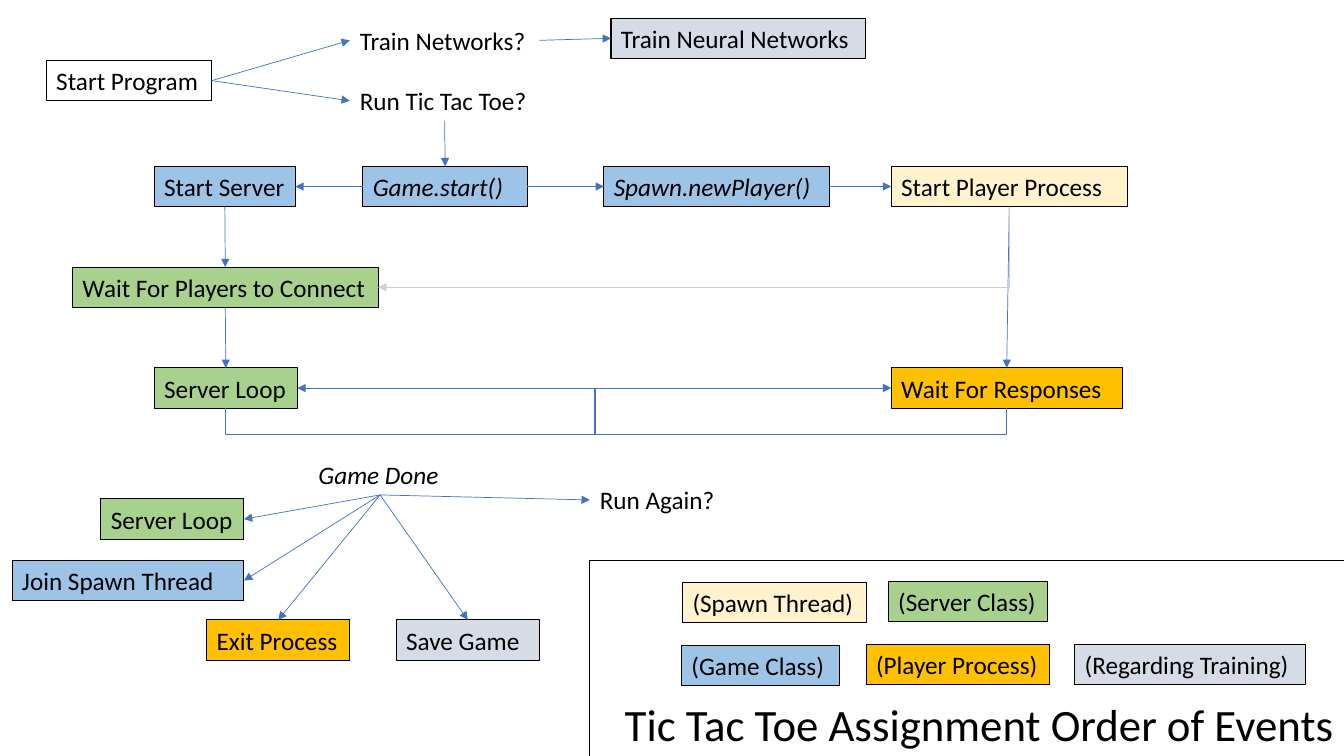
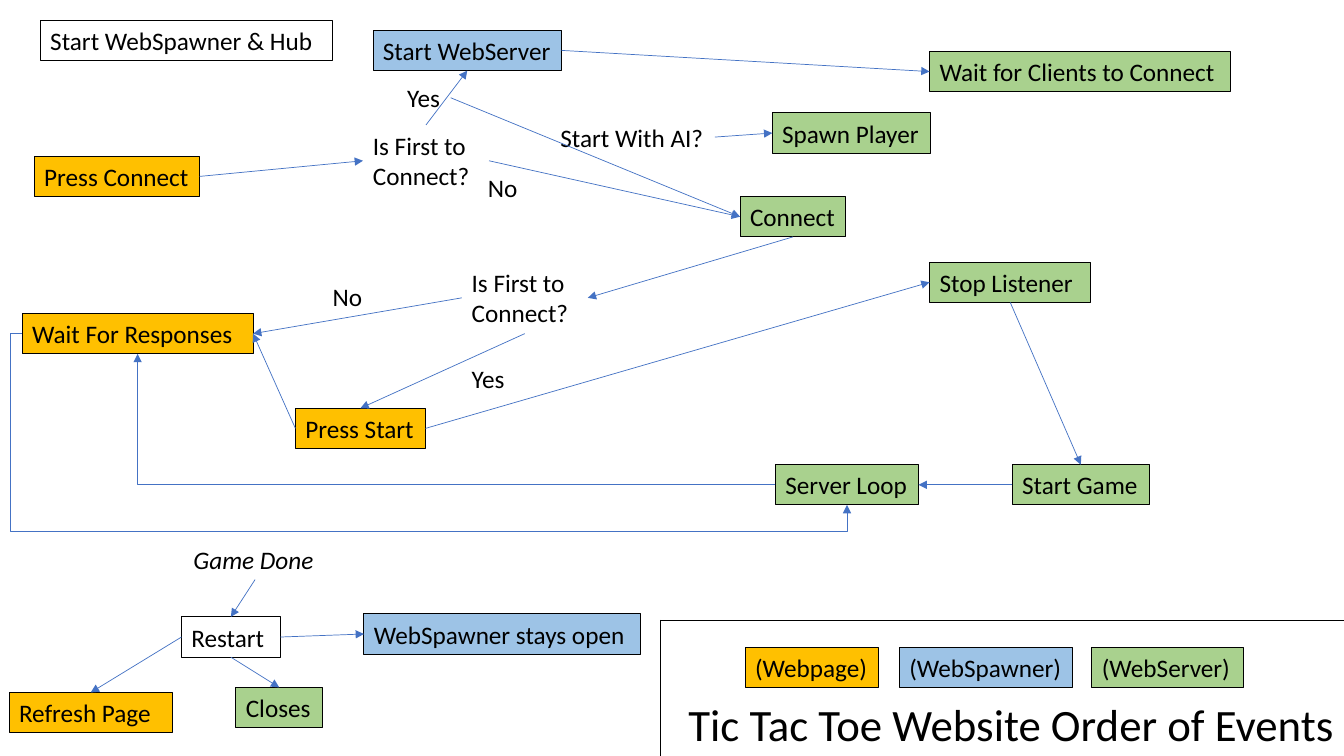
from lxml.etree import SubElement
from pptx import Presentation
from pptx.dml.color import RGBColor
from pptx.enum.shapes import MSO_CONNECTOR, MSO_SHAPE
from pptx.enum.text import MSO_ANCHOR, MSO_AUTO_SIZE, PP_ALIGN
from pptx.oxml.ns import qn
from pptx.util import Inches, Pt

WIDE, HIGH = 13.33, 7.5
ROW, TALL = 0.4, 0.71
FONT, INK, BLUE, GREY = "Calibri", "000000", "4472C4", "D0CECE"
TONES = {"plain": None, "game": "9DC3E6", "server": "A9D18E",
         "player": "FFC000", "spawn": "FFF2CC", "train": "D6DCE5"}
ITALIC = {"Game.start()", "Spawn.newPlayer()", "Game Done"}
SNUG = {"Wait For Players to Connect", "Server Loop", "(Server Class)",
        "Game Done", "Run Again?", "Connect", "Yes", "No", "Start Game",
        "Start With AI?", "Spawn Player"}
SITES = {"top": 0, "left": 1, "bottom": 2, "right": 3}

pages = [
    {
        "title": ("Tic Tac Toe Assignment Order of Events", 4.92),
        "frame": (5.85, 5.56),
        "boxes": [
            ("begin", "Start Program", 0.46, 0.6, 1.64, "plain"),
            ("run", "Run Tic Tac Toe?", 3.47, 0.8, 1.88, "text"),
            ("ask", "Train Networks?", 3.47, 0.2, 1.88, "text"),
            ("train", "Train Neural Networks", 6.06, 0.18, 2.52, "train"),
            ("game", "Game.start()", 3.6, 1.65, 1.63, "game"),
            ("spawn", "Spawn.newPlayer()", 5.99, 1.65, 2.24, "game"),
            ("process", "Start Player Process", 8.84, 1.65, 2.34, "spawn"),
            ("server", "Start Server", 1.53, 1.65, 1.4, "game"),
            ("wait", "Wait For Players to Connect", 0.72, 2.65, 3.03, "server"),
            ("loop", "Server Loop", 1.53, 3.65, 1.42, "server"),
            ("reply", "Wait For Responses", 8.84, 3.65, 2.29, "player"),
            ("done", "Game Done", 3.06, 4.51, 1.42, "text"),
            ("join", "Join Spawn Thread", 0.12, 5.56, 2.3, "game"),
            ("end", "Server Loop", 1, 4.95, 1.42, "server"),
            ("exit", "Exit Process", 2.05, 6.15, 1.42, "player"),
            ("save", "Save Game", 3.93, 6.15, 1.42, "train"),
            ("again", "Run Again?", 5.85, 4.76, 1.35, "text"),
            ("key game", "(Game Class)", 6.76, 6.4, 1.57, "game"),
            ("key spawn", "(Spawn Thread)", 6.77, 5.78, 1.82, "spawn"),
            ("key player", "(Player Process)", 8.59, 6.39, 1.82, "player"),
            ("key server", "(Server Class)", 8.81, 5.77, 1.58, "server"),
            ("key train", "(Regarding Training)", 10.66, 6.39, 2.29, "train"),
        ],
        "links": [
            ("begin", "right", "run", "left"),
            ("begin", "right", "ask", "left"),
            ("ask", "right", "train", "left"),
            ("run", "bottom", "game", "top"),
            ("game", "right", "spawn", "left"),
            ("game", "left", "server", "right"),
            ("spawn", "right", "process", "left"),
            ("server", "bottom", "wait", "top"),
            ("wait", "bottom", "loop", "top"),
            ("process", "bottom", "reply", "top"),
            ("done", "bottom", "end", "right"),
            ("done", "bottom", "join", "right"),
            ("done", "bottom", "exit", "top"),
            ("done", "bottom", "save", "top"),
            ("done", "bottom", "again", "left"),
        ],
        "bends": [
            ("loop", "bottom", "reply", "left", BLUE, 90, "HV", (5.9, 4.31)),
            ("reply", "bottom", "loop", "right", BLUE, 90, "H", (5.9, 4.31)),
            ("process", "bottom", "wait", "right", GREY, 90, "", ()),
        ],
    },
    {
        "title": ("Tic Tac Toe Website Order of Events", 5.79),
        "frame": (6.55, 6.15),
        "boxes": [
            ("begin", "Start WebSpawner & Hub", 0.4, 0.2, 2.9, "plain"),
            ("press", "Press Connect", 0.34, 1.55, 1.64, "player"),
            ("connect", "Connect", 7.34, 1.95, 1.05, "server"),
            ("first", "Is First to Connect?", 3.6, 1.24, 1.25, "text"),
            ("web", "Start WebServer", 3.7, 0.3, 1.87, "game"),
            ("yes", "Yes", 3.94, 0.77, 0.53, "text"),
            ("no", "No", 4.74, 1.66, 0.5, "text"),
            ("clients", "Wait for Clients to Connect", 9.22, 0.51, 2.98, "server"),
            ("reply", "Wait For Responses", 0.22, 3.11, 2.29, "player"),
            ("second", "Is First to Connect?", 4.58, 2.6, 1.25, "text"),
            ("no two", "No", 3.2, 2.74, 0.5, "text"),
            ("yes two", "Yes", 4.58, 3.56, 0.53, "text"),
            ("start", "Press Start", 2.93, 4.05, 1.29, "player"),
            ("stop", "Stop Listener", 9.22, 2.6, 1.6, "server"),
            ("game", "Start Game", 10.04, 4.61, 1.36, "server"),
            ("loop", "Server Loop", 7.69, 4.61, 1.42, "server"),
            ("done", "Game Done", 1.82, 5.35, 1.42, "text"),
            ("restart", "Restart", 1.8, 6.12, 0.98, "plain"),
            ("open", "WebSpawner stays open", 3.61, 6.09, 2.74, "game"),
            ("close", "Closes", 2.34, 6.82, 0.86, "server"),
            ("fresh", "Refresh Page", 0.09, 6.87, 1.62, "player"),
            ("ai", "Start With AI?", 5.46, 1.16, 1.63, "text"),
            ("spawn", "Spawn Player", 7.66, 1.12, 1.57, "server"),
            ("key page", "(Webpage)", 7.39, 6.42, 1.32, "player"),
            ("key spawn", "(WebSpawner)", 8.92, 6.42, 1.72, "game"),
            ("key server", "(WebServer)", 10.83, 6.42, 1.5, "server"),
        ],
        "links": [
            ("press", "right", "first", "left"),
            ("first", "top", "web", "bottom"),
            ("first", "right", "connect", "left"),
            ("yes", "right", "connect", "left"),
            ("web", "right", "clients", "left"),
            ("ai", "right", "spawn", "left"),
            ("connect", "bottom", "second", "right"),
            ("second", "left", "reply", "right"),
            ("second", "bottom", "start", "top"),
            ("start", "left", "reply", "right"),
            ("start", "right", "stop", "left"),
            ("stop", "bottom", "game", "top"),
            ("game", "left", "loop", "right"),
            ("done", "bottom", "restart", "top"),
            ("restart", "right", "open", "left"),
            ("restart", "bottom", "close", "top"),
            ("restart", "left", "fresh", "top"),
        ],
        "bends": [
            ("loop", "left", "reply", "bottom", BLUE, 180, "", ()),
            ("reply", "left", "loop", "bottom", BLUE, 180, "HV", (0.1, 5.27)),
        ],
    },
]


def put(slide, text, left, top, width, high, tone, size=18):
    area = [Inches(n) for n in (left, top, width, high)]
    if tone == "text":
        box = slide.shapes.add_textbox(*area)
    else:
        box = slide.shapes.add_shape(MSO_SHAPE.RECTANGLE, *area)
        box.shadow.inherit = False
        box.line.color.rgb = RGBColor.from_string(INK)
        box.line.width = Pt(0.75)
        if TONES[tone]:
            box.fill.solid()
            box.fill.fore_color.rgb = RGBColor.from_string(TONES[tone])
        else:
            box.fill.background()
    frame = box.text_frame
    frame.word_wrap = text not in SNUG
    frame.auto_size = MSO_AUTO_SIZE.SHAPE_TO_FIT_TEXT
    frame.vertical_anchor = MSO_ANCHOR.TOP
    para = frame.paragraphs[0]
    para.text = text
    para.alignment = PP_ALIGN.LEFT
    para.font.name = FONT
    para.font.size = Pt(size)
    para.font.italic = text in ITALIC
    para.font.color.rgb = RGBColor.from_string(INK)
    return box


def draw(slide, kind, ends, ink, arrow=True):
    line = slide.shapes.add_connector(kind, *[Inches(n) for n in ends])
    line.line.color.rgb = RGBColor.from_string(ink)
    line.line.width = Pt(0.5)
    props = line._element.spPr
    if arrow:
        SubElement(props.find(qn("a:ln")), qn("a:tailEnd"), type="triangle")
    SubElement(props, qn("a:effectLst"))
    return line


deck = Presentation()
deck.slide_width, deck.slide_height = Inches(WIDE), Inches(HIGH)

for page in pages:
    slide = deck.slides.add_slide(deck.slide_layouts[6])
    title, left = page["title"]
    head = put(slide, title, left, 6.86, WIDE - left, 0.64, "text", 32)
    head.text_frame.paragraphs[0].alignment = PP_ALIGN.RIGHT

    boxes = {}
    for key, text, left, top, width, tone in page["boxes"]:
        high = TALL if text == "Is First to Connect?" else ROW
        boxes[key] = put(slide, text, left, top, width, high, tone)

    for tail, side, tip, edge in page["links"]:
        line = draw(slide, MSO_CONNECTOR.STRAIGHT, (0, 0, 1, 1), BLUE)
        line.begin_connect(boxes[tail], SITES[side])
        line.end_connect(boxes[tip], SITES[edge])

    for tail, side, tip, edge, ink, turn, flips, via in page["bends"]:
        line = draw(slide, MSO_CONNECTOR.ELBOW, (0, 0, 1, 1), ink)
        line.begin_connect(boxes[tail], SITES[side])
        line.end_connect(boxes[tip], SITES[edge])
        spans = ((line.begin_x, line.end_x), (line.begin_y, line.end_y))
        bends = [(Inches(n) - a) / (b - a) for n, (a, b) in zip(via, spans)]
        if turn == 90:
            bends.reverse()
            width, high = line.width, line.height
            line.left += (width - high) // 2
            line.top += (high - width) // 2
            line.width, line.height = high, width
        props = line._element.spPr
        form = props.find(qn("a:xfrm"))
        form.set("rot", str(turn * 60000))
        for axis in "HV":
            form.set("flip" + axis, str(int(axis in flips)))
        geom = props.find(qn("a:prstGeom"))
        geom.set("prst", f"bentConnector{2 + len(bends)}")
        guides = geom.find(qn("a:avLst"))
        for spot, bend in enumerate(bends, 1):
            SubElement(guides, qn("a:gd"), name=f"adj{spot}",
                       fmla=f"val {round(bend * 100000)}")

    left, top = page["frame"]
    for end in ((left, HIGH), (WIDE, top)):
        draw(slide, MSO_CONNECTOR.STRAIGHT, (left, top, *end), INK, False)

deck.save("out.pptx")
